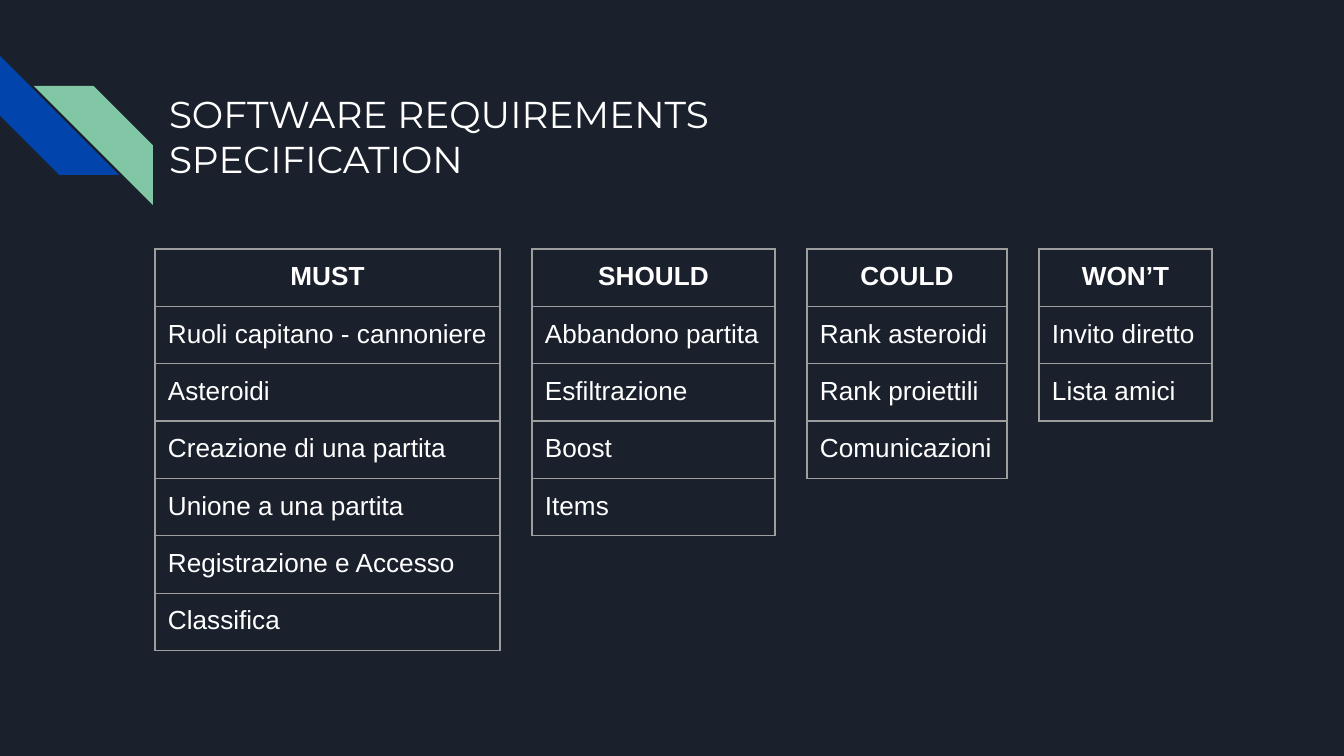
import pptx
import pptx.dml.color
import pptx.enum.shapes
import pptx.enum.text
import pptx.oxml
import pptx.oxml.ns
import pptx.util

SCALE = 9144000 / 1344


def px(length):
    return pptx.util.Emu(round(length * SCALE))


def color(value):
    return pptx.dml.color.RGBColor.from_string(value)


presentation = pptx.Presentation()
presentation.slide_width = px(1344)
presentation.slide_height = px(756)
slide = presentation.slides.add_slide(presentation.slide_layouts[6])
slide.background.fill.solid()
slide.background.fill.fore_color.rgb = color("1B212C")

stripes = [(0, 56, "0145AC", "rot", "16200000"), (34, 86, "82C7A5", "flipH", "1")]
for left, top, fill, attribute, value in stripes:
    stripe = slide.shapes.add_shape(
        pptx.enum.shapes.MSO_SHAPE.DIAGONAL_STRIPE, px(left), px(top), px(119), px(119)
    )
    stripe.adjustments[0] = 0.5
    stripe.shadow.inherit = False
    stripe.fill.solid()
    stripe.fill.fore_color.rgb = color(fill)
    stripe.line.fill.background()
    stripe.element.spPr.get_or_add_xfrm().set(attribute, value)

title = slide.shapes.add_textbox(px(156), px(78), px(620), px(117))
frame = title.text_frame
frame.word_wrap = True
frame.margin_left = frame.margin_right = px(13)
frame.margin_top = frame.margin_bottom = px(13)
for index, line in enumerate(["SOFTWARE REQUIREMENTS", "SPECIFICATION"]):
    paragraph = frame.add_paragraph() if index else frame.paragraphs[0]
    run = paragraph.add_run()
    run.text = line
    run.font.name = "Montserrat"
    run.font.size = pptx.util.Pt(20)
    run.font.color.rgb = color("FFFFFF")

priorities = [
    (345, ["MUST", "Ruoli capitano - cannoniere", "Asteroidi", "Creazione di una partita",
           "Unione a una partita", "Registrazione e Accesso", "Classifica"]),
    (243, ["SHOULD", "Abbandono partita", "Esfiltrazione", "Boost", "Items"]),
    (200, ["COULD", "Rank asteroidi", "Rank proiettili", "Comunicazioni"]),
    (173, ["WON’T", "Invito diretto", "Lista amici"]),
]
ROW_HEIGHT = 56
GAP = 32
left = 155
for width, entries in priorities:
    table = slide.shapes.add_table(
        len(entries), 1, px(left), px(249), px(width), px(ROW_HEIGHT * len(entries))
    ).table
    table.first_row = False
    table.horz_banding = False
    for index, entry in enumerate(entries):
        table.rows[index].height = px(ROW_HEIGHT)
        cell = table.cell(index, 0)
        cell.fill.background()
        cell.margin_left = cell.margin_right = px(13)
        cell.margin_top = cell.margin_bottom = px(13)
        paragraph = cell.text_frame.paragraphs[0]
        if index == 0:
            paragraph.alignment = pptx.enum.text.PP_ALIGN.CENTER
        run = paragraph.add_run()
        run.text = entry
        run.font.name = "Arial"
        run.font.size = pptx.util.Pt(14)
        run.font.bold = index == 0
        run.font.color.rgb = color("FFFFFF")
        properties = cell._tc.get_or_add_tcPr()
        for position, side in enumerate(["lnL", "lnR", "lnT", "lnB"]):
            border = pptx.oxml.parse_xml(
                f'<a:{side} {pptx.oxml.ns.nsdecls("a")} w="9525"><a:solidFill>'
                f'<a:srgbClr val="9E9E9E"/></a:solidFill></a:{side}>'
            )
            properties.insert(position, border)
    left += width + GAP

presentation.save("out.pptx")
